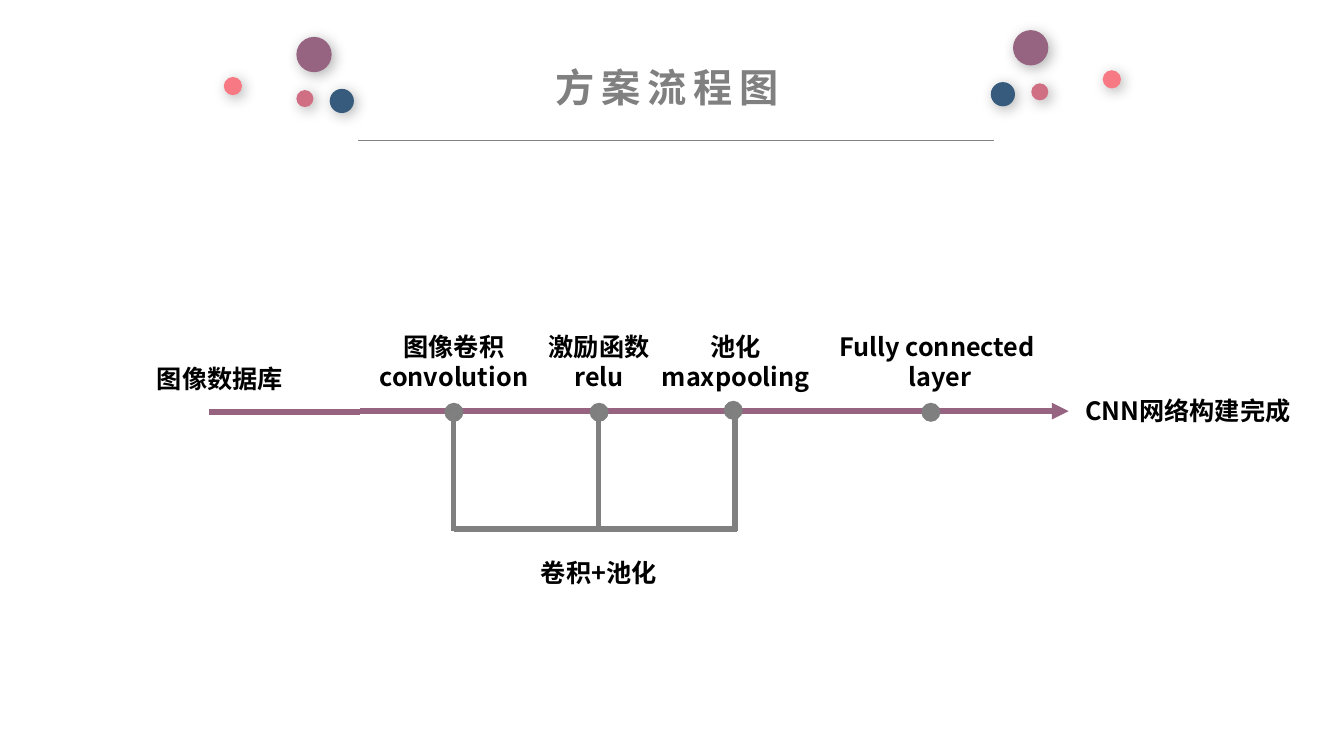
import pptx
import pptx.util
import pptx.dml.color
import pptx.enum.shapes
import pptx.enum.text
import pptx.oxml
import pptx.oxml.ns

Cm, Pt = pptx.util.Cm, pptx.util.Pt
FONT = "Noto Sans CJK SC"
COLORS = {"grey": "808080", "node": "7F7F7F", "rose": "D06F83", "plum": "966481",
          "navy": "365B7C", "coral": "F77983", "black": "000000"}


def rgb(name):
    """Return the named colour."""
    return pptx.dml.color.RGBColor.from_string(COLORS[name])


def add_effects(sp, inner=""):
    """Give a shape or connector its own effect list, empty by default."""
    sp._element.spPr.append(pptx.oxml.parse_xml(
        f'<a:effectLst {pptx.oxml.ns.nsdecls("a")}>{inner}</a:effectLst>'))


def add_line(shapes, x1, y1, x2, y2, color, width, arrow=False):
    """Draw a straight line, with an arrowhead at its end if asked."""
    sp = shapes.add_connector(pptx.enum.shapes.MSO_CONNECTOR.STRAIGHT,
                              Cm(x1), Cm(y1), Cm(x2), Cm(y2))
    sp.line.color.rgb = rgb(color)
    sp.line.width = Pt(width)
    if arrow:
        sp.line._get_or_add_ln().append(pptx.oxml.parse_xml(
            f'<a:tailEnd {pptx.oxml.ns.nsdecls("a")} type="triangle"/>'))
    add_effects(sp)


def add_dot(shapes, x, y, d, color, shadow=False):
    """Draw a filled circle, with a soft shadow if asked."""
    sp = shapes.add_shape(pptx.enum.shapes.MSO_SHAPE.OVAL, Cm(x), Cm(y), Cm(d), Cm(d))
    sp.fill.solid()
    sp.fill.fore_color.rgb = rgb(color)
    sp.line.fill.background()
    if shadow:
        add_effects(sp, '<a:outerShdw blurRad="127000" dist="38100" dir="2700000" algn="tl" '
                        'rotWithShape="0"><a:srgbClr val="000000"><a:alpha val="30000"/>'
                        '</a:srgbClr></a:outerShdw>')
    else:
        sp.shadow.inherit = False


def add_text(shapes, x, y, w, h, text, size=18, color="black", align="CENTER",
             wrap=False, spacing=0):
    """Place bold text in a box that grows with it."""
    sp = shapes.add_textbox(Cm(x), Cm(y), Cm(w), Cm(h))
    tf = sp.text_frame
    tf.text = text
    tf.word_wrap = wrap
    tf.auto_size = pptx.enum.text.MSO_AUTO_SIZE.SHAPE_TO_FIT_TEXT
    for p in tf.paragraphs:
        p.alignment = getattr(pptx.enum.text.PP_ALIGN, align)
        for r in p.runs:
            r.font.name, r.font.size, r.font.bold = FONT, Pt(size), True
            r.font.color.rgb = rgb(color)
            rPr = r.font._element
            ea = pptx.oxml.parse_xml(
                f'<a:ea {pptx.oxml.ns.nsdecls("a")} typeface="{FONT}"/>')
            rPr.find(pptx.oxml.ns.qn("a:latin")).addnext(ea)
            if spacing:
                rPr.set("spc", str(spacing * 100))


def add_cluster(shapes, x, y, w, mirrored=False):
    """Draw the four decorative dots in a box, optionally mirrored."""
    for dx, dy, d, color in [(1.02, 1.34, 0.43, "rose"), (0.56, 0, 0.89, "plum"),
                             (0, 1.31, 0.61, "navy"), (2.82, 1.01, 0.46, "coral")]:
        add_dot(shapes, x + (w - dx - d if mirrored else dx), y + dy, d, color, shadow=True)


def add_header(shapes, x, y, w):
    """Draw the title, its rule and the dots on both sides."""
    add_line(shapes, x + 3.38, y + 2.77, x + 19.4, y + 2.77, "grey", 0.5)
    add_text(shapes, x + 8.1, y + 0.71, 6.4, 1.45, "方案流程图", 28, "grey", "LEFT", spacing=5)
    cluster_w = 3.28
    add_cluster(shapes, x, y + 0.17, cluster_w, mirrored=True)
    add_cluster(shapes, x + w - cluster_w, y, cluster_w)


def add_flow(shapes, x, y, w):
    """Draw the process axis with its steps and the bracket under three of them."""
    s = shapes.add_group_shape().shapes
    axis, bar, join, d = y + 2.13, y + 5.1, x + 3.81, 0.48
    add_line(s, join, axis, x + w, axis, "plum", 4, arrow=True)
    add_line(s, join, axis + 0.03, x, axis + 0.03, "plum", 4)
    steps = [(6.18, 0.03, 6.18, 4.4, "图像卷积\nconvolution"),
             (9.84, 0.03, 9.84, 3.2, "激励函数\nrelu"),
             (13.22, -0.02, 13.28, 4.4, "池化\nmaxpooling"),
             (18.2, 0.03, 18.43, 6, "Fully connected \nlayer")]
    for cx, dy, label_cx, label_w, text in steps:
        add_dot(s, x + cx - d / 2, axis + dy - d / 2, d, "node")
        add_text(s, x + label_cx - label_w / 2, y, label_w, 1.8, text)
    add_text(s, x - 1.57, y + 0.79, 3.7, 1.02, "图像数据库")
    add_text(s, x + w + 0.07, y + 1.6, 5.87, 1.02, "CNN网络构建完成")
    stems = [x + 6.17, x + 9.82, x + 13.26]
    for stem in stems:
        add_line(s, stem, axis, stem, bar + 0.05, "grey", 4)
    add_line(s, stems[-1] + 0.05, bar, stems[0], bar, "grey", 4)
    add_text(s, stems[1] - 1.72, y + 5.69, 3.46, 1.02, "卷积+池化", wrap=True)


prs = pptx.Presentation()
prs.slide_width, prs.slide_height = Cm(33.87), Cm(19.05)
slide = prs.slides.add_slide(prs.slide_layouts[6])
add_header(slide.shapes, 5.64, 0.76, 22.61)
add_flow(slide.shapes, 5.26, 8.23, 21.67)
prs.save("out.pptx")
